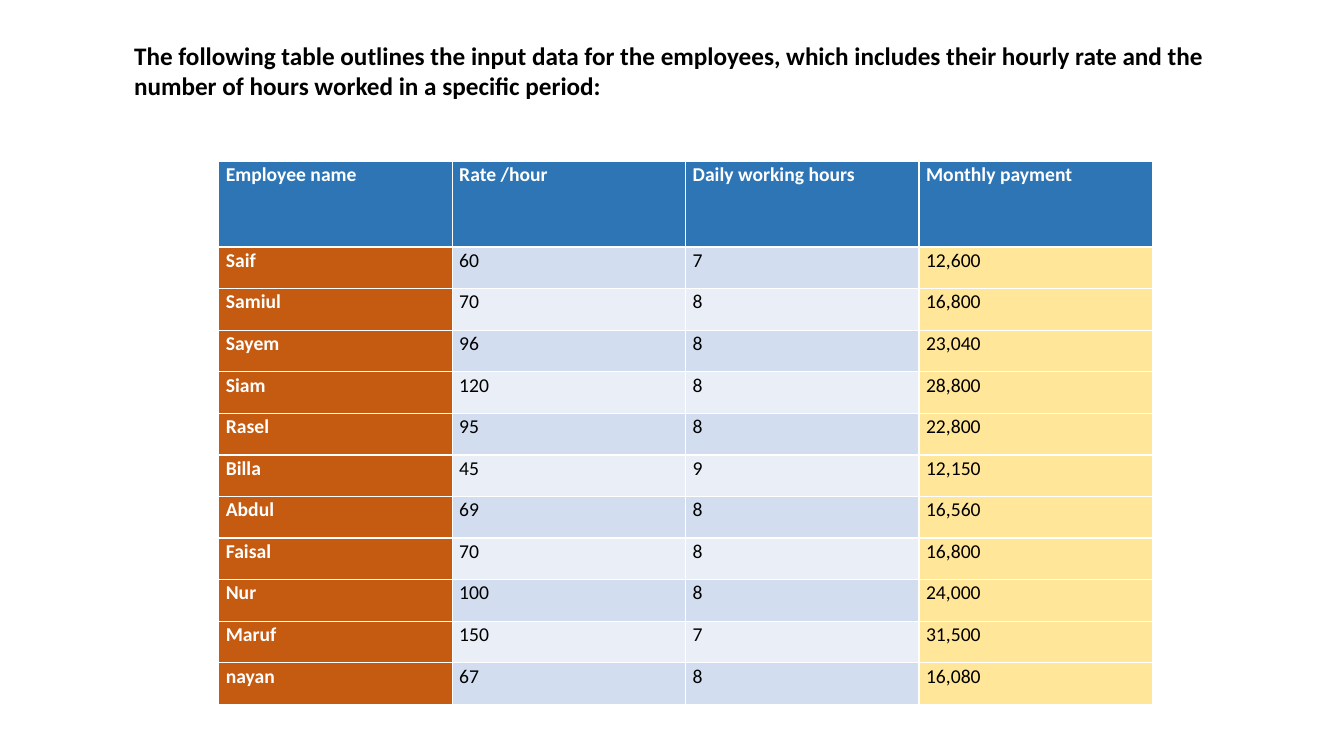
"""Build a slide with a table of employee rates, hours and payments."""
from pptx import Presentation
from pptx.dml.color import RGBColor
from pptx.enum import text
from pptx.util import Inches, Pt

TITLE = ("The following table outlines the input data for the employees, which includes "
         "their hourly rate and the number of hours worked in a specific period:")
HEADINGS = ("Employee name", "Rate /hour", "Daily working hours", "Monthly payment")
EMPLOYEES = [
    ("Saif", "60", "7", "12,600"),
    ("Samiul", "70", "8", "16,800"),
    ("Sayem", "96", "8", "23,040"),
    ("Siam", "120", "8", "28,800"),
    ("Rasel", "95", "8", "22,800"),
    ("Billa", "45", "9", "12,150"),
    ("Abdul", "69", "8", "16,560"),
    ("Faisal", "70", "8", "16,800"),
    ("Nur", "100", "8", "24,000"),
    ("Maruf", "150", "7", "31,500"),
    ("nayan", "67", "8", "16,080"),
]
WHITE, BLACK = "FFFFFF", "000000"
HEADER_FILL, NAME_FILL, PAYMENT_FILL = "2E75B6", "C55A11", "FFE699"
BAND_FILLS = ("EAEFF7", "D2DEEF")
TABLE_LEFT, TABLE_TOP, TABLE_WIDTH, TABLE_HEIGHT = 2.17, 1.6, 9.26, 5.39
HEADER_HEIGHT = 0.85
TITLE_BOX = {"left": Inches(1.23), "top": Inches(0.35),
             "width": Inches(11.48), "height": Inches(0.71)}
TITLE_FRAME = {"word_wrap": True, "auto_size": text.MSO_AUTO_SIZE.NONE,
               "vertical_anchor": text.MSO_ANCHOR.TOP}
CELL_FORMAT = {"margin_left": Inches(0.07), "margin_right": Inches(0.07),
               "margin_top": 0, "margin_bottom": 0,
               "vertical_anchor": text.MSO_ANCHOR.TOP}


def apply(target, values):
    for name, value in values.items():
        setattr(target, name, value)


def color(target, value):
    target.rgb = RGBColor.from_string(value)


def write(para, words, size, ink, bold):
    span = para.add_run()
    span.text = words
    apply(span.font, {"name": "Calibri", "size": Pt(size), "bold": bold})
    color(span.font.color, ink)


def cell_fill(row, column):
    if row == 0:
        return HEADER_FILL
    if column == 0:
        return NAME_FILL
    if column == len(HEADINGS) - 1:
        return PAYMENT_FILL
    return BAND_FILLS[row % 2]


def add_title(page):
    title = page.shapes.title
    apply(title, TITLE_BOX)
    apply(title.text_frame, TITLE_FRAME)
    para = title.text_frame.paragraphs[0]
    para.alignment = text.PP_ALIGN.LEFT
    write(para, TITLE, 18, BLACK, True)


def add_payments(page):
    rows = [HEADINGS, *EMPLOYEES]
    table = page.shapes.add_table(
        len(rows), len(HEADINGS), Inches(TABLE_LEFT), Inches(TABLE_TOP),
        Inches(TABLE_WIDTH), Inches(TABLE_HEIGHT)).table
    row_height = (TABLE_HEIGHT - HEADER_HEIGHT) / len(EMPLOYEES)
    for row, values in enumerate(rows):
        table.rows[row].height = Inches(row_height if row else HEADER_HEIGHT)
        for column, words in enumerate(values):
            cell = table.cell(row, column)
            apply(cell, CELL_FORMAT)
            cell.fill.solid()
            color(cell.fill.fore_color, cell_fill(row, column))
            para = cell.text_frame.paragraphs[0]
            para.line_spacing = 1.07
            strong = row == 0 or column == 0
            write(para, words, 14, WHITE if strong else BLACK, strong)


def main():
    deck = Presentation()
    apply(deck, {"slide_width": Inches(13.33), "slide_height": Inches(7.5)})
    page = deck.slides.add_slide(deck.slide_layouts.get_by_name("Title Only"))
    add_title(page)
    add_payments(page)
    deck.save("out.pptx")


if __name__ == "__main__":
    main()
